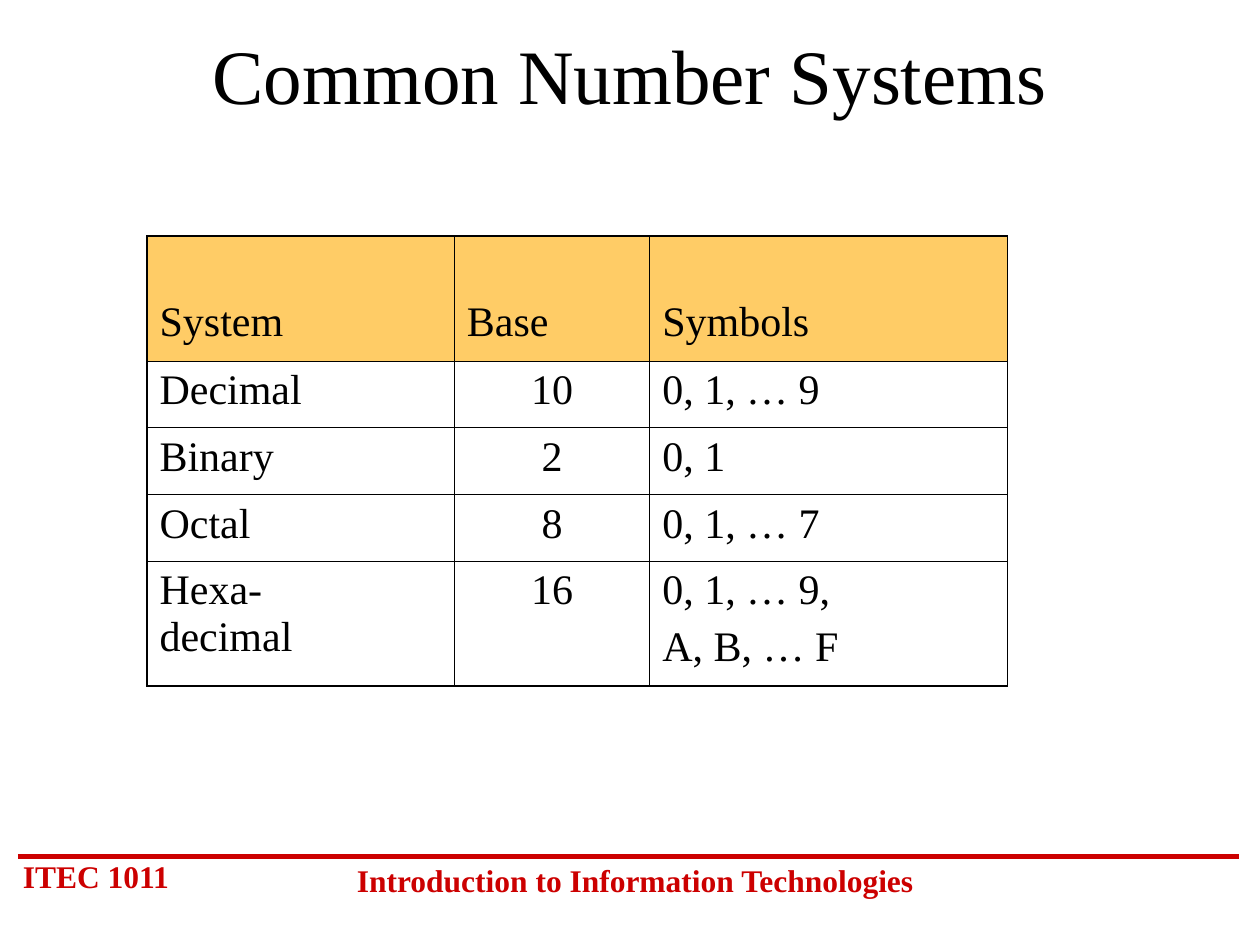
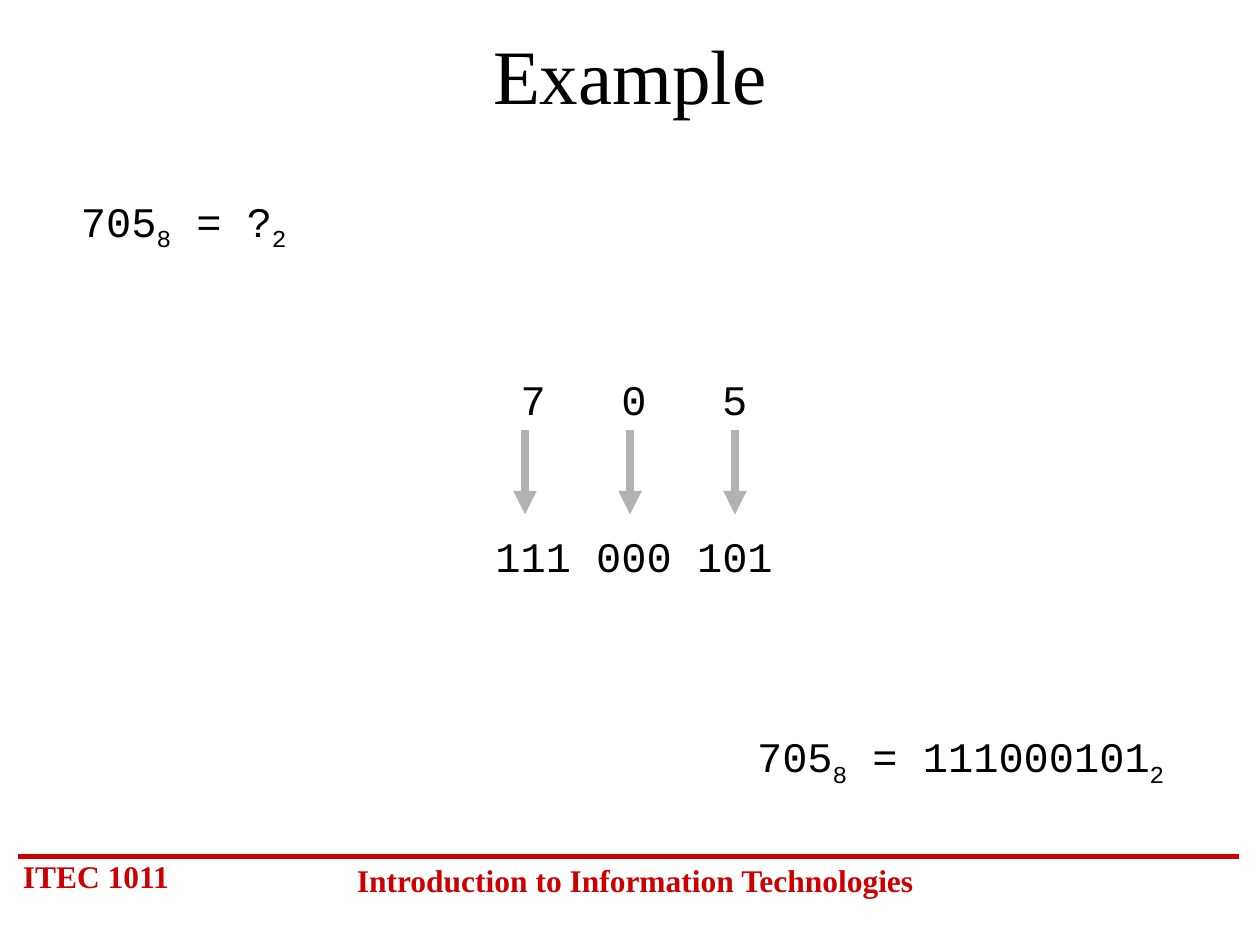
"""Build two slides on number systems: a comparison table and an octal-to-binary example."""
from dataclasses import dataclass

from lxml import etree
from pptx import Presentation
from pptx import util as u
from pptx.dml.color import RGBColor
from pptx.enum import shapes, text
from pptx.oxml import ns

LEFT, CENTER = text.PP_ALIGN.LEFT, text.PP_ALIGN.CENTER


@dataclass(frozen=True)
class Theme:
    """Colours, fonts and type sizes in points."""
    ink: str = "000000"
    accent: str = "CC0000"
    header: str = "FFCC66"
    arrow: str = "B2B2B2"
    paper: str = "FFFFFF"
    serif: str = "Times New Roman"
    mono: str = "Courier New"
    title: float = 44
    body: float = 24
    footer: float = 18
    thin: float = 0.45
    thick: float = 1.08


@dataclass(frozen=True)
class Area:
    """A rectangle in columns and rows of the slide grid."""
    col: float
    row: float
    cols: float
    rows: float

    def lengths(self) -> list[u.Emu]:
        """Return left, top, width and height."""
        return [cell(n) for n in (self.col, self.row, self.cols, self.rows)]


@dataclass(frozen=True)
class Style:
    """Character and paragraph format."""
    font: str
    size: float
    color: str
    bold: bool = False
    align: text.PP_ALIGN = LEFT
    before: float = 0


@dataclass(frozen=True)
class FooterLabel:
    """A label under the footer rule."""
    wording: str
    area: Area
    align: text.PP_ALIGN


@dataclass(frozen=True)
class Equation:
    """Pairs of a number and its base, joined by an equals sign."""
    area: Area
    terms: tuple[tuple[str, str], ...]


THEME = Theme()
TITLE_AREA = Area(9, 2, 102, 10)
FOOTER_RULE = (1.7, 81.6, 118, 81.6)
FOOTER_LABELS = (
    FooterLabel("ITEC 1011", Area(1, 81, 18, 4.8), LEFT),
    FooterLabel("Introduction to Information Technologies", Area(32, 81.4, 57, 4.8), CENTER),
)
SYSTEMS = (
    ("System", "Base", "Symbols"),
    ("Decimal", "10", "0, 1, … 9"),
    ("Binary", "2", "0, 1"),
    ("Octal", "8", "0, 1, … 7"),
    ("Hexa-\vdecimal", "16", "0, 1, … 9,\nA, B, … F"),
)
TABLE_AREA = Area(14, 22.5, 82, 42.8)
COLUMN_WIDTHS = (2.44, 1.55, 2.84)
ROW_HEIGHTS = (0.99, 0.53, 0.53, 0.53, 0.99)
EQUATIONS = (
    Equation(Area(4, 18, 27, 6.7), (("705", "8"), ("?", "2"))),
    Equation(Area(68, 69, 47, 6.7), (("705", "8"), ("111000101", "2"))),
)
OCTAL, BINARY = ("7", "0", "5"), ("111", "000", "101")
CONVERSION_AREA = Area(46, 35, 35, 20.6)
FIRST_DIGIT, DIGIT_STEP = 0.3, 0.8
ARROW_COLUMN, ARROW_STEP, ARROW_TOP, ARROW_END = 50, 10, 41, 49
CONVERSION_GAP = 61


def cell(count: float) -> u.Emu:
    """Return the length of a number of grid cells, twelve to the inch."""
    return u.Inches(count / 12)


def rgb(value: str) -> RGBColor:
    """Return a colour from its hexadecimal form."""
    return RGBColor.from_string(value)


def add_run(paragraph, wording: str, style: Style, subscript: bool = False) -> None:
    """Append one formatted run."""
    run = paragraph.add_run()
    run.text = wording
    run.font.name, run.font.size, run.font.bold = style.font, u.Pt(style.size), style.bold
    run.font.color.rgb = rgb(style.color)
    if subscript:
        run._r.get_or_add_rPr().set("baseline", "-25000")


def format_paragraph(paragraph, style: Style) -> None:
    """Apply alignment and spacing."""
    paragraph.alignment = style.align
    paragraph.space_before = u.Pt(style.before)


def write(frame, wording: str, style: Style) -> None:
    """Fill a frame; newlines split paragraphs and vertical tabs break lines."""
    for index, line in enumerate(wording.split("\n")):
        paragraph = frame.add_paragraph() if index else frame.paragraphs[0]
        format_paragraph(paragraph, style)
        for part_index, part in enumerate(line.split("\v")):
            if part_index:
                paragraph.add_line_break()
            add_run(paragraph, part, style)


def add_frame(parent, area: Area):
    """Add a wrapping text box and return its frame."""
    frame = parent.add_textbox(*area.lengths()).text_frame
    frame.word_wrap = True
    return frame


def add_line(parent, ends: tuple, color: str, width: float, arrow: bool = False) -> None:
    """Draw a straight line without shadow, optionally ending in an arrowhead."""
    line = parent.add_connector(shapes.MSO_CONNECTOR.STRAIGHT, *map(cell, ends))
    line.line.color.rgb = rgb(color)
    line.line.width = u.Pt(width)
    if arrow:
        etree.SubElement(line.line._get_or_add_ln(), ns.qn("a:tailEnd"), type="triangle")
    etree.SubElement(line._element.spPr, ns.qn("a:effectLst"))


def set_borders(table_cell, widths: dict[str, float]) -> None:
    """Put solid borders before the fill of a table cell."""
    properties = table_cell._tc.get_or_add_tcPr()
    for index, (side, width) in enumerate(widths.items()):
        border = etree.Element(ns.qn(f"a:ln{side}"), w=str(u.Pt(width)))
        fill = etree.SubElement(border, ns.qn("a:solidFill"))
        etree.SubElement(fill, ns.qn("a:srgbClr"), val=THEME.ink)
        properties.insert(index, border)


def add_base_slide(deck, heading: str):
    """Add a slide with title and footer."""
    slide = deck.slides.add_slide(deck.slide_layouts[5])
    slide.background.fill.solid()
    slide.background.fill.fore_color.rgb = rgb(THEME.paper)
    add_line(slide.shapes, FOOTER_RULE, THEME.accent, 3)
    for label in FOOTER_LABELS:
        style = Style(THEME.serif, THEME.footer, THEME.accent, True, label.align, 11.2)
        write(add_frame(slide.shapes, label.area), label.wording, style)
    title = slide.shapes.title
    title.left, title.top, title.width, title.height = TITLE_AREA.lengths()
    title.text_frame.auto_size = text.MSO_AUTO_SIZE.NONE
    title.text_frame.vertical_anchor = text.MSO_ANCHOR.MIDDLE
    write(title.text_frame, heading, Style(THEME.serif, THEME.title, THEME.ink, align=CENTER))
    return slide


def add_systems_table(slide) -> None:
    """Draw the table of number systems."""
    last = len(SYSTEMS) - 1
    table = slide.shapes.add_table(
        len(SYSTEMS), len(COLUMN_WIDTHS), *TABLE_AREA.lengths()).table
    table.first_row = table.horz_banding = False
    for column, width in zip(table.columns, COLUMN_WIDTHS):
        column.width = u.Inches(width)
    for r, (row, height) in enumerate(zip(table.rows, ROW_HEIGHTS)):
        row.height = u.Inches(height)
        for c, (entry, wording) in enumerate(zip(row.cells, SYSTEMS[r])):
            align = CENTER if r and c == 1 else LEFT
            write(entry.text_frame, wording,
                  Style(THEME.serif, THEME.body, THEME.ink, align=align, before=6))
            if r:
                entry.fill.background()
            else:
                entry.fill.solid()
                entry.fill.fore_color.rgb = rgb(THEME.header)
                entry.vertical_anchor = text.MSO_ANCHOR.BOTTOM
                entry.margin_bottom = u.Inches(0.12)
            outer = {"L": c == 0, "R": False, "T": r == 0, "B": r == last}
            set_borders(entry, {side: THEME.thick if edge else THEME.thin
                                for side, edge in outer.items()})


def add_equation(slide, equation: Equation) -> None:
    """Write numbers with their bases as subscripts."""
    style = Style(THEME.mono, THEME.body, THEME.ink, align=CENTER, before=15)
    paragraph = add_frame(slide.shapes, equation.area).paragraphs[0]
    format_paragraph(paragraph, style)
    for index, (number, base) in enumerate(equation.terms):
        add_run(paragraph, f" = {number}" if index else number, style)
        add_run(paragraph, base, style, subscript=True)


def add_conversion(slide) -> None:
    """Map each octal digit to its three bits."""
    group = slide.shapes.add_group_shape().shapes
    frame = add_frame(group, CONVERSION_AREA)
    digits, bits = frame.paragraphs[0], frame.add_paragraph()
    style = Style(THEME.mono, THEME.body, THEME.ink, before=15)
    format_paragraph(digits, style)
    stops = etree.SubElement(digits._p.get_or_add_pPr(), ns.qn("a:tabLst"))
    for index, digit in enumerate(OCTAL):
        stop = u.Inches(FIRST_DIGIT + index * DIGIT_STEP)
        etree.SubElement(stops, ns.qn("a:tab"), pos=str(stop), algn="ctr")
        add_run(digits, f"\t{digit}", style)
        column = ARROW_COLUMN + index * ARROW_STEP
        add_line(group, (column, ARROW_TOP, column, ARROW_END), THEME.arrow, 4.5, arrow=True)
    format_paragraph(bits, Style(THEME.mono, THEME.body, THEME.ink, before=CONVERSION_GAP))
    add_run(bits, " ".join(BINARY), style)


def main() -> None:
    """Build and save the deck."""
    deck = Presentation()
    deck.slide_width, deck.slide_height = cell(120), cell(90)
    add_systems_table(add_base_slide(deck, "Common Number Systems"))
    example = add_base_slide(deck, "Example")
    add_conversion(example)
    for equation in EQUATIONS:
        add_equation(example, equation)
    deck.save("out.pptx")


if __name__ == "__main__":
    main()
